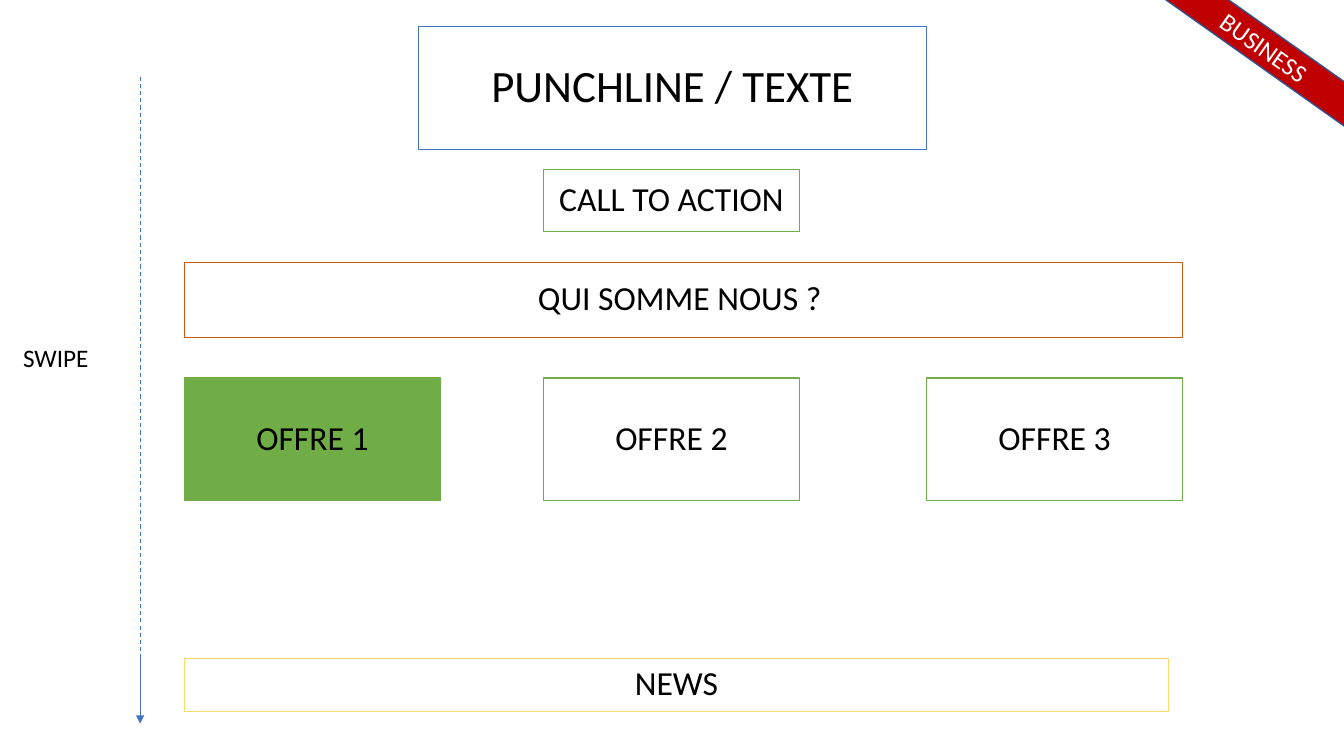
from dataclasses import dataclass
from typing import Optional

from lxml import etree
from pptx import Presentation
from pptx.dml.color import RGBColor
from pptx.enum import dml, shapes, text
from pptx.oxml import ns
from pptx.util import Inches, Pt

FONT = "Calibri"
BLUE, GREEN, BLACK, WHITE = "4472C4", "70AD47", "000000", "FFFFFF"
LEFT, OFFER_TOP, OFFER_WIDTH, OFFER_HEIGHT = 1.83, 3.75, 2.54, 1.22
SWIPE_X = 1.39


@dataclass
class Block:
    """A framed section of the page, measured in inches."""
    label: str
    left: float
    top: float
    width: float
    height: float
    border: str
    fill: Optional[str] = None
    border_width: float = 0.75
    size: int = 24
    color: str = BLACK
    spacing: float = 0.9
    rotation: float = 0


@dataclass
class SwipeLine:
    """A vertical stretch of the swipe arrow."""
    top: float
    bottom: float
    width: float
    dashed: bool = False
    arrow: bool = False


def rgb(value: str) -> RGBColor:
    """Turn a hex string into a colour."""
    return RGBColor.from_string(value)


def add_label(paragraph, label: str, size: int, color: str) -> None:
    """Add one run in the page font."""
    run = paragraph.add_run()
    run.text = label
    run.font.name = FONT
    run.font.size = Pt(size)
    run.font.color.rgb = rgb(color)


def draw_block(slide, block: Block) -> None:
    """Draw a rectangle with its centred label."""
    frame = slide.shapes.add_shape(
        shapes.MSO_SHAPE.RECTANGLE, Inches(block.left), Inches(block.top),
        Inches(block.width), Inches(block.height))
    frame.shadow.inherit = False
    frame.rotation = block.rotation
    if block.fill:
        frame.fill.solid()
        frame.fill.fore_color.rgb = rgb(block.fill)
    else:
        frame.fill.background()
    frame.line.color.rgb = rgb(block.border)
    frame.line.width = Pt(block.border_width)
    body = frame.text_frame
    body.word_wrap = True
    body.vertical_anchor = text.MSO_ANCHOR.MIDDLE
    paragraph = body.paragraphs[0]
    paragraph.alignment = text.PP_ALIGN.CENTER
    paragraph.line_spacing = block.spacing
    add_label(paragraph, block.label, block.size, block.color)


def draw_swipe_line(slide, stretch: SwipeLine) -> None:
    """Draw one stretch of the swipe arrow."""
    connector = slide.shapes.add_connector(
        shapes.MSO_CONNECTOR.STRAIGHT, Inches(SWIPE_X), Inches(stretch.top),
        Inches(SWIPE_X), Inches(stretch.bottom))
    connector.line.color.rgb = rgb(BLUE)
    connector.line.width = Pt(stretch.width)
    if stretch.dashed:
        connector.line.dash_style = dml.MSO_LINE.DASH
    if stretch.arrow:
        etree.SubElement(connector.line._get_or_add_ln(),
                         ns.qn("a:tailEnd"), type="triangle")
    etree.SubElement(connector._element.spPr, ns.qn("a:effectLst"))


def draw_swipe_label(slide) -> None:
    """Write the caption beside the swipe arrow."""
    caption = slide.shapes.add_textbox(
        Inches(0.13), Inches(3.35), Inches(0.92), Inches(0.4))
    caption.text_frame.word_wrap = True
    caption.text_frame.auto_size = text.MSO_AUTO_SIZE.SHAPE_TO_FIT_TEXT
    add_label(caption.text_frame.paragraphs[0], "SWIPE", 18, BLACK)


def offer(number: int, left: float, fill: Optional[str] = None) -> Block:
    """Describe one offer in the row of three."""
    return Block(f"OFFRE {number}", left, OFFER_TOP, OFFER_WIDTH,
                 OFFER_HEIGHT, GREEN, fill)


BLOCKS = [
    Block("PUNCHLINE / TEXTE", 4.15, 0.26, 5.04, 1.22, BLUE, size=32),
    Block("CALL TO ACTION", 5.39, 1.68, OFFER_WIDTH, 0.62, GREEN, WHITE, 1),
    offer(2, 5.39),
    offer(3, 9.19),
    Block("NEWS", LEFT, 6.53, 9.76, 0.53, "FFD966"),
    offer(1, LEFT, GREEN),
    Block("QUI SOMME NOUS ? ", LEFT, 2.6, 9.9, 0.75, "C55A11"),
    Block("BUSINESS", 11.27, 0.29, 2.54, 0.36, "325491", "C00000", 1,
          size=18, color=WHITE, spacing=1.0, rotation=35.3),
]
SWIPE_LINES = [
    SwipeLine(0.76, 6.8, 0.75, dashed=True),
    SwipeLine(6.53, 7.18, 0.5, arrow=True),
]


def main() -> None:
    """Build the page plan and save it."""
    deck = Presentation()
    deck.slide_width, deck.slide_height = Inches(13.33), Inches(7.5)
    slide = deck.slides.add_slide(deck.slide_layouts[6])
    for block in BLOCKS:
        draw_block(slide, block)
    for stretch in SWIPE_LINES:
        draw_swipe_line(slide, stretch)
    draw_swipe_label(slide)
    deck.save("out.pptx")


main()
